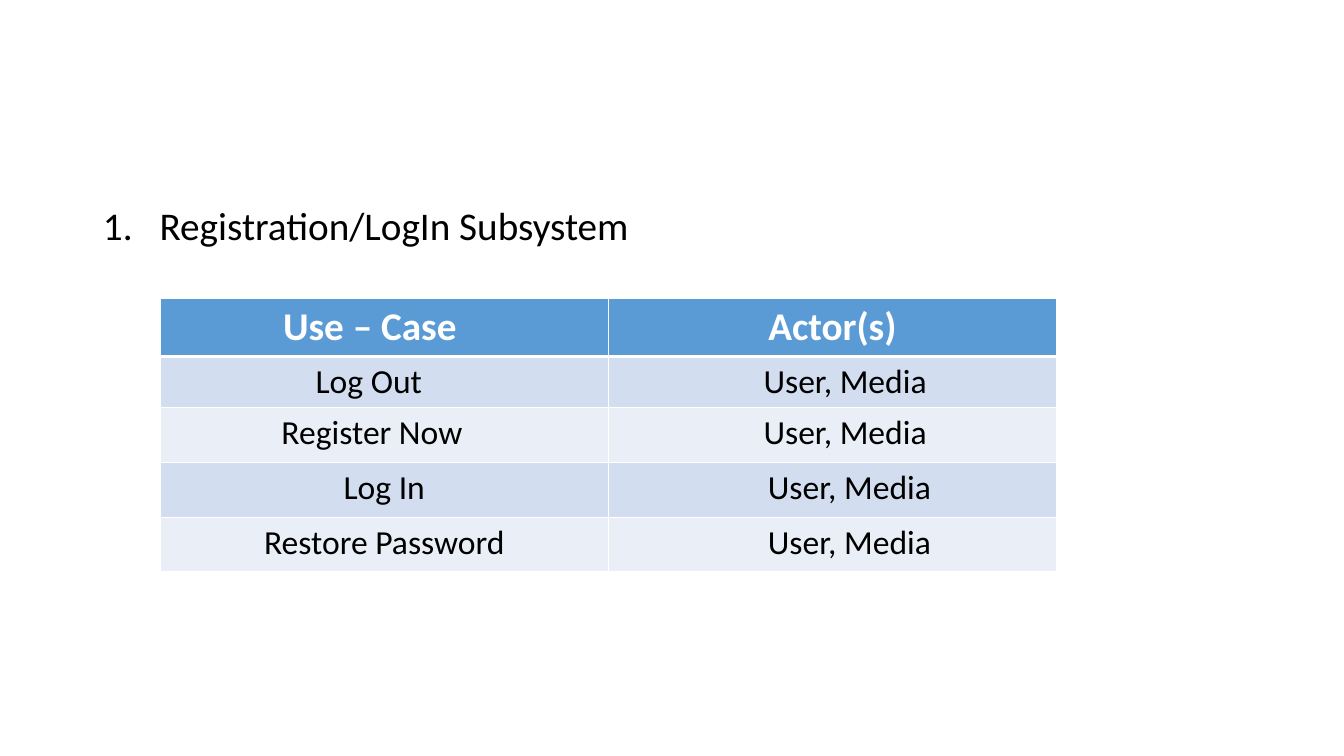
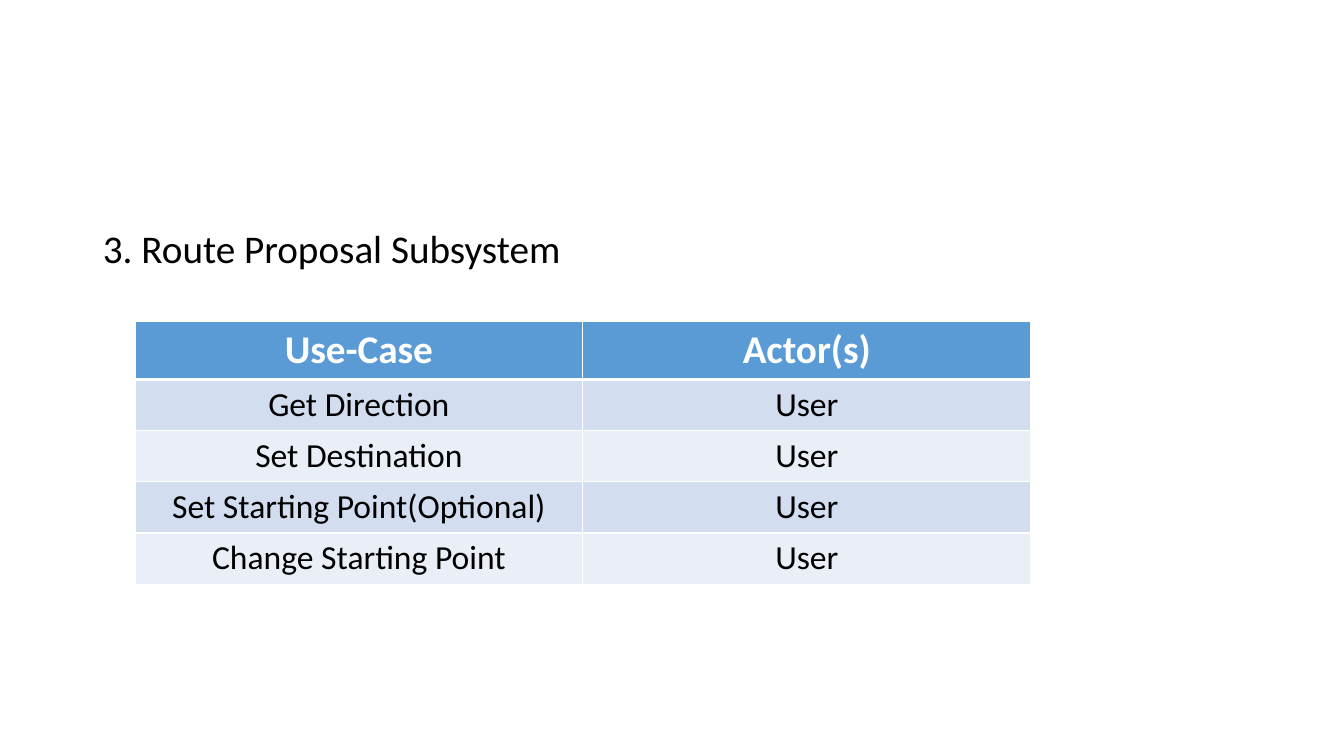
import pptx
import pptx.dml.color
import pptx.enum.text
import pptx.oxml
import pptx.oxml.ns
import pptx.util
from pptx.util import Cm

COLORS = {
    "header": "5B9BD5",
    "odd_row": "D2DEEF",
    "even_row": "EAEFF7",
    "light": "FFFFFF",
    "text": "000000",
}


class Deck:
    font = "Calibri"
    heading_size = 28
    body_size = 24
    thin_border = 1
    thick_border = 3
    column_width = Cm(11.29)

    def __init__(self):
        self.presentation = pptx.Presentation()
        self.presentation.slide_width = Cm(33.87)
        self.presentation.slide_height = Cm(19.05)
        self.slide = None

    def add_slide(self):
        layout = self.presentation.slide_layouts.get_by_name("Title and Content")
        self.slide = self.presentation.slides.add_slide(layout)
        title = self.slide.shapes.title.element
        title.getparent().remove(title)

    def color(self, name):
        return pptx.dml.color.RGBColor.from_string(COLORS[name])

    def format_runs(self, paragraph, size, color, bold=False):
        for run in paragraph.runs:
            run.font.name = self.font
            run.font.size = pptx.util.Pt(size)
            run.font.bold = bold
            run.font.color.rgb = self.color(color)

    def add_xml(self, parent, tag, content="", attributes="", index=None):
        namespace = pptx.oxml.ns.nsdecls("a")
        element = pptx.oxml.parse_xml(
            f"<a:{tag} {namespace} {attributes}>{content}</a:{tag}>")
        parent.insert(len(parent) if index is None else index, element)

    def add_heading(self, text, top, numbered=False):
        body = self.slide.placeholders[1]
        body.left, body.top = Cm(2.34), top
        body.width, body.height = Cm(29.21), Cm(12.09)
        frame = body.text_frame
        frame.text = text
        frame.auto_size = pptx.enum.text.MSO_AUTO_SIZE.NONE
        paragraph = frame.paragraphs[0]
        paragraph.line_spacing = 0.9
        paragraph.space_before = pptx.util.Pt(10)
        self.format_runs(paragraph, self.heading_size, "text")
        indent = Cm(1.43) if numbered else Cm(0)
        properties = paragraph._p.get_or_add_pPr()
        properties.set("marL", str(indent))
        properties.set("indent", str(-indent))
        if numbered:
            self.add_xml(properties, "buFont", attributes='typeface="+mj-lt"')
            self.add_xml(properties, "buAutoNum", attributes='type="arabicPeriod"')
        else:
            self.add_xml(properties, "buNone")

    def add_borders(self, cell, row):
        widths = {"lnL": self.thin_border, "lnR": self.thin_border,
                  "lnT": self.thick_border if row == 1 else self.thin_border,
                  "lnB": self.thick_border if row == 0 else self.thin_border}
        fill = f'<a:solidFill><a:srgbClr val="{COLORS["light"]}"/></a:solidFill>'
        properties = cell._tc.get_or_add_tcPr()
        for index, (tag, width) in enumerate(widths.items()):
            self.add_xml(properties, tag, fill, f'w="{pptx.util.Pt(width)}"', index)

    def fill_cell(self, cell, row, text, indent):
        is_header = row == 0
        cell.text = text
        paragraph = cell.text_frame.paragraphs[0]
        if indent is None:
            paragraph.alignment = pptx.enum.text.PP_ALIGN.CENTER
        else:
            paragraph.alignment = pptx.enum.text.PP_ALIGN.LEFT
            paragraph._p.get_or_add_pPr().set("marL", str(indent))
        self.format_runs(paragraph,
                         self.heading_size if is_header else self.body_size,
                         "light" if is_header else "text", is_header)
        cell.fill.solid()
        band = "odd_row" if row % 2 else "even_row"
        cell.fill.fore_color.rgb = self.color("header" if is_header else band)
        self.add_borders(cell, row)

    def add_table(self, left, top, heights, rows, indents=None):
        columns = len(rows[0])
        table = self.slide.shapes.add_table(
            len(rows), columns, left, top,
            self.column_width * columns, sum(heights)).table
        for column in table.columns:
            column.width = self.column_width
        for row, texts in enumerate(rows):
            table.rows[row].height = heights[row]
            for column, text in enumerate(texts):
                indent = indents[row][column] if indents else None
                self.fill_cell(table.cell(row, column), row, text, indent)


def main():
    deck = Deck()
    header_height, row_height, tall_row_height = Cm(1.45), Cm(1.29), Cm(1.38)

    deck.add_slide()
    deck.add_heading("Registration/LogIn Subsystem", Cm(5.08), numbered=True)
    use_cases = ["Log Out", "Register Now", "Log In", "Restore Password"]
    deck.add_table(
        Cm(4.04), Cm(7.52),
        [header_height, row_height] + [tall_row_height] * 3,
        [("Use – Case", "Actor(s)")] + [(name, "User, Media") for name in use_cases],
        [(Cm(2.84), Cm(3.78)), (Cm(3.66), Cm(3.66)), (Cm(2.8), Cm(3.66)),
         (None, Cm(3.77)), (None, Cm(3.77))])

    deck.add_slide()
    deck.add_heading("3. Route Proposal Subsystem", Cm(5.66))
    use_cases = ["Get Direction", "Set Destination",
                 "Set Starting Point(Optional)", "Change Starting Point"]
    deck.add_table(
        Cm(3.4), Cm(8.1),
        [header_height] + [row_height] * 4,
        [("Use-Case", "Actor(s)")] + [(name, "User") for name in use_cases])

    deck.presentation.save("out.pptx")


if __name__ == "__main__":
    main()
